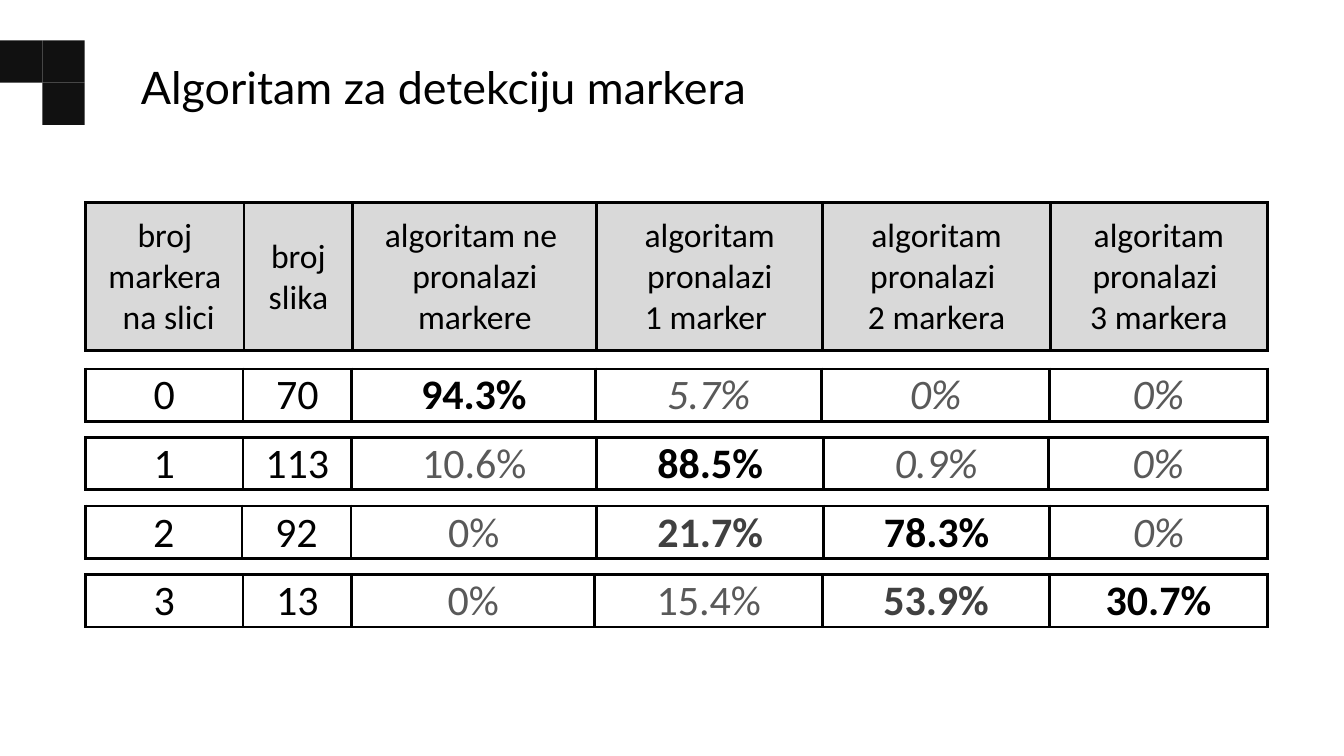
import pptx
import pptx.dml.color
import pptx.enum.shapes
import pptx.enum.text
import pptx.oxml.ns
import pptx.util
from lxml import etree

Inches = pptx.util.Inches
Pt = pptx.util.Pt
CENTER = pptx.enum.text.PP_ALIGN.CENTER
MIDDLE = pptx.enum.text.MSO_ANCHOR.MIDDLE

SQUARE = 0.42
SQUARES_TOP = 0.4
TABLE_LEFT = 0.85
HEADER_TOP, HEADER_HEIGHT = 2.01, 1.47
ROWS_TOP, ROW_HEIGHT, ROW_PITCH = 3.66, 0.51, 0.68

STYLES = {
    "plain": ("000000", False, False),
    "best": ("000000", True, False),
    "notable": ("404040", True, False),
    "missed": ("595959", False, False),
    "excess": ("595959", False, True),
}

HEADINGS = [
    "broj markera\n na slici",
    "broj slika",
    "algoritam ne \npronalazi markere",
    "algoritam pronalazi\n1 marker ",
    "algoritam pronalazi \n2 markera",
    "algoritam pronalazi \n3 markera",
]
HEADING_WIDTHS = [1.57, 1.08, 2.42, 2.24, 2.26, 2.15]

RESULTS = [
    ([1.56, 1.08, 2.42, 2.24, 2.26, 2.16],
     ["0", "70", "94.3%", "5.7%", "0%", "0%"],
     ["plain", "plain", "best", "excess", "excess", "excess"]),
    ([1.56, 1.08, 2.43, 2.25, 2.23, 2.17],
     ["1", "113", "10.6%", "88.5%", "0.9%", "0%"],
     ["plain", "plain", "missed", "best", "excess", "excess"]),
    ([1.55, 1.08, 2.44, 2.25, 2.24, 2.16],
     ["2", "92", "0%", "21.7%", "78.3%", "0%"],
     ["plain", "plain", "missed", "notable", "best", "excess"]),
    ([1.56, 1.08, 2.41, 2.26, 2.25, 2.16],
     ["3", "13", "0%", "15.4%", "53.9%", "30.7%"],
     ["plain", "plain", "missed", "missed", "notable", "best"]),
]


def color(value):
    return pptx.dml.color.RGBColor.from_string(value)


def add_border(cell):
    qn = pptx.oxml.ns.qn
    properties = cell._tc.get_or_add_tcPr()
    for side in ("a:lnL", "a:lnR", "a:lnT", "a:lnB"):
        line = etree.SubElement(properties, qn(side), w=str(Pt(2.25)))
        fill = etree.SubElement(line, qn("a:solidFill"))
        etree.SubElement(fill, qn("a:srgbClr"), val="000000")


deck = pptx.Presentation()
deck.slide_width = Inches(13.33)
deck.slide_height = Inches(7.5)
page = deck.slides.add_slide(deck.slide_layouts[5])

title = page.shapes.title
title.left, title.top = Inches(0.63), Inches(0.54)
title.width, title.height = Inches(7.54), Inches(0.64)
title.text_frame.text = "Algoritam za detekciju markera"
title.text_frame.vertical_anchor = MIDDLE
title.text_frame.word_wrap = True
para = title.text_frame.paragraphs[0]
para.alignment = CENTER
para.runs[0].font.name = "Lato"
para.runs[0].font.size = Pt(32)
para.runs[0].font.color.rgb = color("000000")

corner = page.shapes.add_group_shape()
for column, row in [(1, 1), (1, 0), (0, 0)]:
    square = corner.shapes.add_shape(
        pptx.enum.shapes.MSO_SHAPE.RECTANGLE,
        Inches(column * SQUARE), Inches(SQUARES_TOP + row * SQUARE),
        Inches(SQUARE), Inches(SQUARE))
    square.shadow.inherit = False
    square.fill.solid()
    square.fill.fore_color.rgb = color("111111")
    square.line.fill.background()

bands = [(HEADER_TOP, HEADER_HEIGHT, 24, "D9D9D9",
          HEADING_WIDTHS, HEADINGS, ["plain"] * len(HEADINGS))]
for index, result in enumerate(RESULTS):
    bands.append((ROWS_TOP + index * ROW_PITCH, ROW_HEIGHT, 30, "FFFFFF", *result))

for top, height, size, background, widths, texts, styles in bands:
    table = page.shapes.add_table(
        1, len(texts), Inches(TABLE_LEFT), Inches(top),
        Inches(sum(widths)), Inches(height)).table
    table.first_row = False
    table.horz_banding = False
    for index, (width, text, style) in enumerate(zip(widths, texts, styles)):
        table.columns[index].width = Inches(width)
        cell = table.cell(0, index)
        add_border(cell)
        cell.fill.solid()
        cell.fill.fore_color.rgb = color(background)
        cell.margin_left = cell.margin_right = cell.margin_top = Inches(0.01)
        cell.margin_bottom = 0
        cell.vertical_anchor = MIDDLE
        para = cell.text_frame.paragraphs[0]
        para.text = text
        para.alignment = CENTER
        ink, bold, italic = STYLES[style]
        for span in para.runs:
            span.font.name = "Calibri"
            span.font.size = Pt(size)
            span.font.bold = bold
            span.font.italic = italic
            span.font.color.rgb = color(ink)

deck.save("out.pptx")
